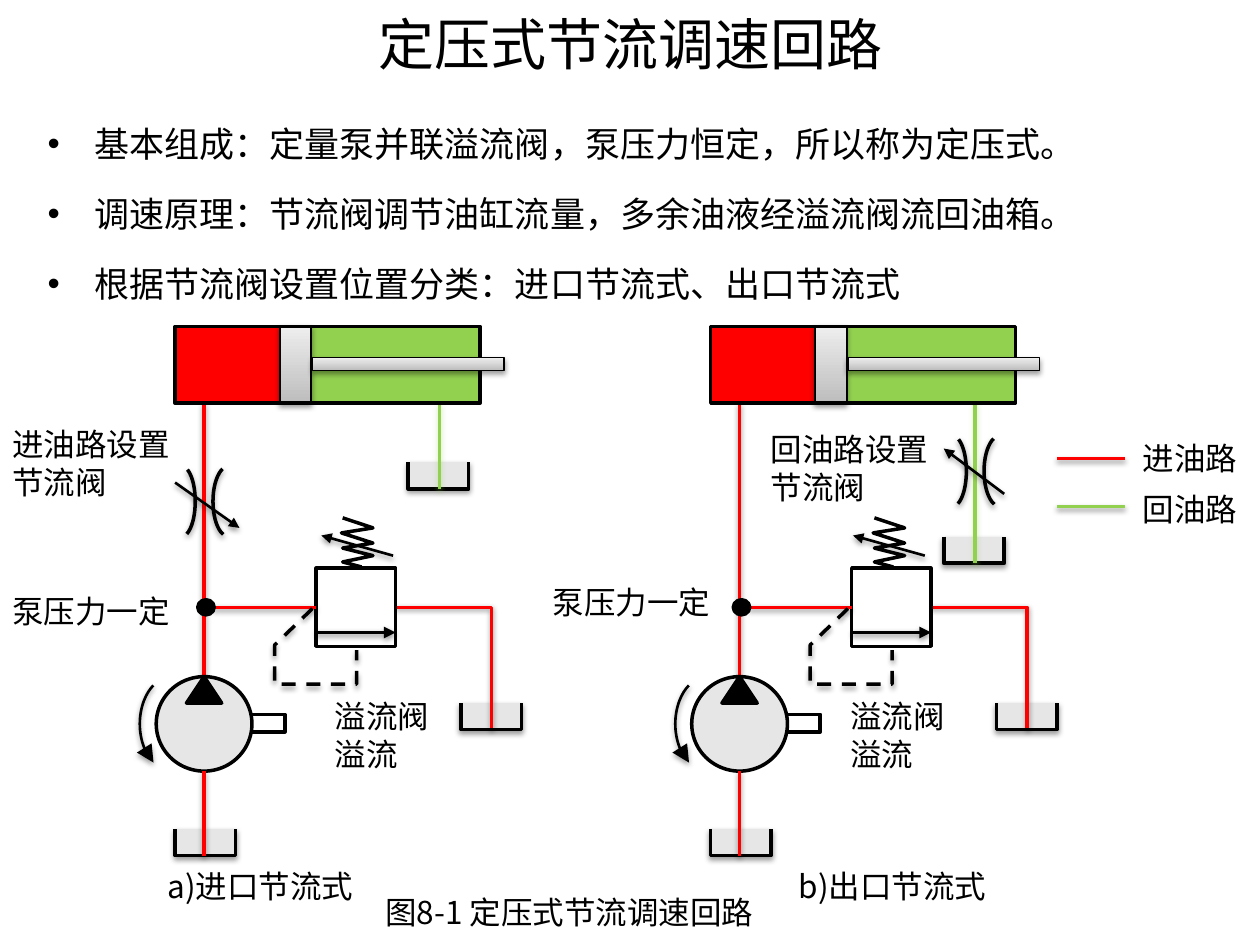
from dataclasses import dataclass

from lxml.etree import SubElement as Sub
from pptx import Presentation
from pptx.dml.color import RGBColor as Rgb
from pptx.enum.dml import MSO_LINE as Dash
from pptx.enum.shapes import MSO_CONNECTOR as Link, MSO_SHAPE as Kind
from pptx.enum.text import MSO_ANCHOR as Anchor, PP_ALIGN as Align
from pptx.oxml.ns import qn
from pptx.util import Pt

PX = 9144  # EMU per px, 100 px to the inch


@dataclass(frozen=True)
class Theme:
    font: str = "Noto Sans CJK SC"
    black: str = "000000"
    white: str = "FFFFFF"
    red: str = "FF0000"
    green: str = "92D050"
    oil: str = "E6E6E6"
    steel: tuple = ("BDBDBD", "EEEEEE")
    title: int = 32
    body: int = 20
    label: int = 18


@dataclass(frozen=True)
class Label:
    text: str
    x: int
    y: int
    w: int
    h: int


@dataclass(frozen=True)
class Plan:
    dx: int        # shift of the whole circuit
    spring: int    # shift of the relief spring
    valve: tuple   # shift of the throttle arcs
    arrow: tuple   # throttle arrow, from and to, before the circuit shift
    tank: int      # top of the return tank


T = Theme()
PLANS = (
    Plan(0, 0, (0, 0), (139, 383, 190, 419), 367),
    Plan(425, -3, (187, -24), (372, 392, 324, 356), 426),
)
LABELS = (
    Label("a)进口节流式", 123, 683, 211, 47),
    Label("b)出口节流式", 624, 683, 211, 47),
    Label("图8-1 定压式节流调速回路", 296, 704, 376, 47),
    Label("进油路", 897, 343, 103, 41),
    Label("回油路", 897, 384, 103, 41),
    Label("溢流阀溢流", 256, 548, 102, 71),
    Label("溢流阀溢流", 665, 548, 102, 71),
    Label("泵压力一定", 0, 465, 162, 40),
    Label("泵压力一定", 429, 458, 162, 40),
    Label("进油路设置节流阀", 0, 332, 154, 71),
    Label("回油路设置节流阀", 602, 336, 159, 71),
)
POINTS = (
    "基本组成：定量泵并联溢流阀，泵压力恒定，所以称为定压式。",
    "调速原理：节流阀调节油缸流量，多余油液经溢流阀流回油箱。",
    "根据节流阀设置位置分类：进口节流式、出口节流式",
)

deck = Presentation()
deck.slide_width, deck.slide_height = 1000 * PX, 750 * PX
shapes = deck.slides.add_slide(deck.slide_layouts[6]).shapes


# Text
def frame(x: int, y: int, w: int, h: int):
    text = shapes.add_textbox(x * PX, y * PX, w * PX, h * PX).text_frame
    text.word_wrap = True
    return text


def style(para, size: int) -> None:
    font = para.font
    font.size = Pt(size)
    font.color.rgb = Rgb.from_string(T.black)
    font.name = T.font
    Sub(font._element, qn("a:ea")).set("typeface", T.font)


def write(item: Label) -> None:
    para = frame(item.x, item.y, item.w, item.h).paragraphs[0]
    para.text = item.text
    para.line_spacing = Pt(21.7)
    style(para, T.label)


def heads() -> None:
    text = frame(146, 0, 709, 68)
    text.vertical_anchor = Anchor.MIDDLE
    para = text.paragraphs[0]
    para.text = "定压式节流调速回路"
    para.alignment = Align.CENTER
    style(para, T.title)

    text = frame(28, 76, 945, 175)
    for i, line in enumerate(POINTS):
        para = text.add_paragraph() if i else text.paragraphs[0]
        para.text = line
        para.line_spacing = Pt(36)
        para.space_before = Pt(4 if i else 0)
        props = para._p.get_or_add_pPr()
        props.set("marL", str(37 * PX))
        props.set("indent", str(-38 * PX))
        Sub(props, qn("a:buFont")).set("typeface", "Arial")
        Sub(props, qn("a:buChar")).set("char", "•")
        style(para, T.body)


# Strokes, fills and shadows
def ink(shape, color: str, width: float, end: str = "", shade: str = "",
        size: str = "med") -> None:
    line = shape.line
    if color:
        line.color.rgb = Rgb.from_string(color)
        line.width = Pt(width)
    else:
        line.fill.background()
    if end:
        Sub(line._get_or_add_ln(), qn(f"a:{end}"), type="triangle", w=size, len=size)
    effect = Sub(shape._element.spPr, qn("a:effectLst"))
    if shade:
        drop = Sub(effect, qn("a:outerShdw"), blurRad=str(Pt(3.1)),
                   dist=str(Pt(1.6)), dir="5400000", rotWithShape="0")
        tone = Sub(drop, qn("a:srgbClr"), val=shade)
        Sub(tone, qn("a:alpha"), val="38000")


def paint(shape, fill) -> None:
    if not fill:
        shape.fill.background()
    elif isinstance(fill, tuple):
        shape.fill.gradient()
        shape.fill.gradient_angle = 90
        for stop, color in zip(shape.fill.gradient_stops, fill):
            stop.color.rgb = Rgb.from_string(color)
    else:
        shape.fill.solid()
        shape.fill.fore_color.rgb = Rgb.from_string(fill)


def block(kind, x: int, y: int, w: int, h: int, fill="", color: str = T.black,
          width: float = 2, shade: str = "", turn: tuple = (), end: str = ""):
    shape = shapes.add_shape(kind, x * PX, y * PX, w * PX, h * PX)
    for i, value in enumerate(turn):
        shape.adjustments[i] = value
    paint(shape, fill)
    ink(shape, color, width, end, shade, "lg")
    return shape


def wire(x1: int, y1: int, x2: int, y2: int, color: str = T.black,
         width: float = 2, end: str = "", shade: str = T.black, join=None) -> None:
    line = shapes.add_connector(Link.STRAIGHT, x1 * PX, y1 * PX, x2 * PX, y2 * PX)
    if join:
        line.begin_connect(*join)
    ink(line, color, width, end, shade)


def trace(dots: list, color: str = T.black, fill: str = "",
          shade: str = T.black, dash: bool = False) -> None:
    pen = shapes.build_freeform(*dots[0], scale=PX)
    pen.add_line_segments(dots[1:], close=False)
    shape = pen.convert_to_shape()
    paint(shape, fill)
    if dash:
        shape.line.dash_style = Dash.DASH
    ink(shape, color, 2, shade=shade)


# Parts of a circuit
def tank(x: int, y: int) -> None:
    trace([(x, y), (x, y + 21), (x + 48, y + 21), (x + 48, y)], fill=T.oil)


def ram(x: int) -> None:
    block(Kind.RECTANGLE, x + 247, 260, 134, 59, T.green, "")
    block(Kind.RECTANGLE, x + 140, 260, 84, 59, T.red, "")
    block(Kind.RECTANGLE, x + 222, 259, 25, 61, T.steel, width=1, shade=T.black)
    block(Kind.RECTANGLE, x + 139, 259, 242, 61)
    block(Kind.RECTANGLE, x + 248, 284, 152, 10, T.steel, width=0.75, shade=T.black)


def pump(x: int) -> None:
    block(Kind.RECTANGLE, x + 194, 567, 32, 14, T.white)
    block(Kind.OVAL, x + 124, 537, 76, 75, T.oil)
    block(Kind.ISOSCELES_TRIANGLE, x + 148, 537, 28, 21, T.black)
    block(Kind.ARC, x + 111, 537, 51, 75, width=1.5, shade=T.black,
          turn=(69.24, 146.48), end="headEnd")
    tank(x + 139, 658)
    wire(x + 162, 679, x + 162, 612, T.red)


def relief(x: int, shift: int) -> None:
    tank(x + 366, 558)
    trace([(x + 314, 482), (x + 390, 482), (x + 390, 578)], T.red)
    valve = block(Kind.RECTANGLE, x + 251, 451, 63, 62, T.white)
    wire(x + 251, 482, x + 169, 482, T.red, join=(valve, 1))
    block(Kind.OVAL, x + 157, 476, 13, 12, T.black)
    wire(x + 251, 502, x + 314, 502, width=2.25, end="tailEnd")
    trace([(x + 248, 483), (x + 218, 512), (x + 218, 543), (x + 283, 543),
           (x + 283, 516)], dash=True)
    left = x + shift
    wire(left + 312, 441, left + 255, 425, width=1.5, end="tailEnd")
    turns = zip((287, 272, 296, 272, 296, 271, 296, 272),
                (450, 446, 441, 435, 431, 423, 419, 411))
    trace([(left + a, b) for a, b in turns], shade="")


def choke(x: int, plan: Plan) -> None:
    right, down = plan.valve
    for left, wide, turn in ((133, 22, (168.43, 48.37)), (169, 25, (59.63, 155.57))):
        block(Kind.ARC, x + left + right, 370 + down, wide, 56,
              shade=T.black, turn=turn)
    x1, y1, x2, y2 = plan.arrow
    wire(x + x1, y1, x + x2, y2, width=1.5, end="tailEnd")


def circuit(plan: Plan) -> None:
    x = plan.dx
    wire(x + 162, 537, x + 162, 320, T.red)
    pump(x)
    relief(x, plan.spring)
    tank(x + 324, plan.tank)
    wire(x + 349, plan.tank + 21, x + 349, 320, T.green, shade=T.green)
    choke(x, plan)
    ram(x)


def main() -> None:
    heads()
    for plan in PLANS:
        circuit(plan)
    # Legend
    for y, color in ((364, T.red), (402, T.green)):
        wire(893, y, 839, y, color)
    for item in LABELS:
        write(item)
    deck.save("out.pptx")


if __name__ == "__main__":
    main()
